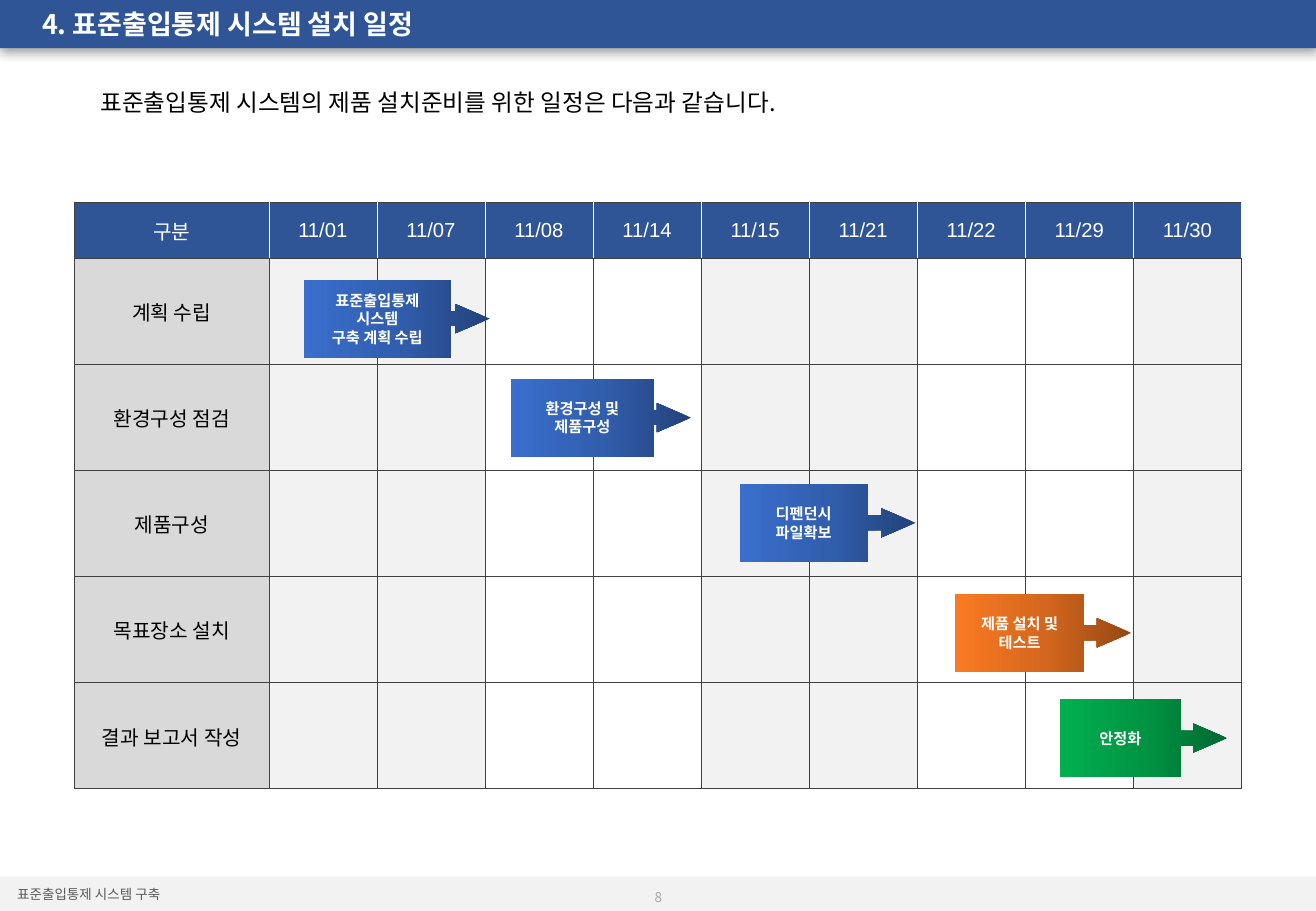
from copy import deepcopy

from lxml import etree
from pptx import Presentation
from pptx.dml.color import RGBColor
from pptx.enum import shapes, text
from pptx.oxml import ns
from pptx.util import Cm, Pt

WHITE = RGBColor(0xFF, 0xFF, 0xFF)
BLACK = RGBColor(0x00, 0x00, 0x00)
NAVY = RGBColor(0x2F, 0x55, 0x97)
LIGHT = RGBColor(0xF2, 0xF2, 0xF2)
LABEL_GRAY = RGBColor(0xD9, 0xD9, 0xD9)
GRID = RGBColor(0x40, 0x40, 0x40)
FOOTER_TEXT = RGBColor(0x59, 0x59, 0x59)
NUMBER_TEXT = RGBColor(0xA6, 0xA6, 0xA6)
BLUES = (RGBColor(0x23, 0x42, 0x7A), RGBColor(0x31, 0x5E, 0xAD), RGBColor(0x3A, 0x6F, 0xCE))
ORANGES = (RGBColor(0x95, 0x48, 0x15), RGBColor(0xD4, 0x67, 0x1D), RGBColor(0xFB, 0x7A, 0x23))
GREENS = (RGBColor(0x00, 0x68, 0x2F), RGBColor(0x00, 0x94, 0x43), RGBColor(0x00, 0xB0, 0x50))

KOREAN = "Noto Sans CJK KR"
LEFT, CENTER = text.PP_ALIGN.LEFT, text.PP_ALIGN.CENTER
WIDTH, HEIGHT = 27.51, 19.05

DATES = ["11/01", "11/07", "11/08", "11/14", "11/15", "11/21", "11/22", "11/29", "11/30"]
STAGES = ["계획 수립", "환경구성 점검", "제품구성", "목표장소 설치", "결과 보고서 작성"]
# Left, top, width, share of the width taken by the box, colours, lines
TASKS = [
    (6.35, 5.85, 3.89, 0.79, BLUES, ["표준출입통제 시스템", "구축 계획 수립"]),
    (10.69, 7.92, 3.76, 0.79, BLUES, ["환경구성 및 제품구성"]),
    (15.46, 10.12, 3.68, 0.728, BLUES, ["디펜던시 파일확보"]),
    (19.97, 12.42, 3.68, 0.731, ORANGES, ["제품 설치 및 테스트"]),
    (22.16, 14.62, 3.5, 0.72, GREENS, ["안정화"]),
]


def style_paragraph(para, size, color, align=LEFT, bold=False, font=KOREAN):
    para.alignment = align
    para.font.size = Pt(size)
    para.font.bold = bold
    para.font.color.rgb = color
    para.font.name = font
    properties = para.font._element
    etree.SubElement(properties, ns.qn("a:ea"), typeface=KOREAN)


def add_text(page, left, top, width, height, words, size, color,
             align=LEFT, bold=False, inset=True, wrap=True):
    box = page.shapes.add_textbox(Cm(left), Cm(top), Cm(width), Cm(height))
    frame = box.text_frame
    frame.word_wrap = wrap
    frame.vertical_anchor = text.MSO_ANCHOR.MIDDLE
    if not inset:
        frame.margin_left = frame.margin_right = frame.margin_top = frame.margin_bottom = 0
    para = frame.paragraphs[0]
    para.text = words
    style_paragraph(para, size, color, align, bold)
    return para


def add_band(page, top, height, color):
    band = page.shapes.add_shape(shapes.MSO_SHAPE.RECTANGLE, 0, Cm(top), Cm(WIDTH), Cm(height))
    band.shadow.inherit = False
    band.fill.solid()
    band.fill.fore_color.rgb = color
    band.line.fill.background()
    return band


def add_shadow(shape):
    effects = shape._element.spPr.find(ns.qn("a:effectLst"))
    shadow = etree.SubElement(effects, ns.qn("a:outerShdw"), blurRad=str(Pt(7)),
                              dist=str(Pt(1)), dir=str(109 * 60000), rotWithShape="0")
    color = etree.SubElement(shadow, ns.qn("a:srgbClr"), val=str(BLACK))
    etree.SubElement(color, ns.qn("a:alpha"), val="40000")


def set_borders(cell, left, right):
    properties = cell._tc.get_or_add_tcPr()
    for side, color in (("L", left), ("R", right), ("T", GRID), ("B", GRID)):
        line = etree.SubElement(properties, ns.qn("a:ln" + side), w=str(Pt(0.25)))
        fill = etree.SubElement(line, ns.qn("a:solidFill"))
        etree.SubElement(fill, ns.qn("a:srgbClr"), val=str(color))


def fill_cell(cell, fill, words="", color=BLACK, left=GRID, right=GRID):
    set_borders(cell, left, right)
    if fill is None:
        cell.fill.background()
    else:
        cell.fill.solid()
        cell.fill.fore_color.rgb = fill
    cell.vertical_anchor = text.MSO_ANCHOR.MIDDLE
    cell.margin_left = cell.margin_right = cell.margin_top = Cm(0.03)
    cell.margin_bottom = 0
    para = cell.text_frame.paragraphs[0]
    para.text = words
    style_paragraph(para, 12, color, CENTER, font="Arial")


def add_schedule(page):
    frame = page.shapes.add_table(len(STAGES) + 1, len(DATES) + 1,
                                  Cm(1.56), Cm(4.22), Cm(24.43), Cm(12.29))
    table = frame.table
    table.first_row = table.horz_banding = False
    for index, column in enumerate(table.columns):
        column.width = Cm(2.26 if index else 4.06)
    for index, row in enumerate(table.rows):
        row.height = Cm(2.22 if index else 1.17)

    # Header row
    for index, words in enumerate(["구분"] + DATES):
        fill_cell(table.cell(0, index), NAVY, words, WHITE,
                  left=WHITE if index else GRID, right=WHITE)

    # Stage rows: pairs of dates alternate between gray and clear
    for row, stage in enumerate(STAGES, 1):
        fill_cell(table.cell(row, 0), LABEL_GRAY, stage)
        for index in range(len(DATES)):
            fill_cell(table.cell(row, index + 1), None if index // 2 % 2 else LIGHT)


def set_gradient(fill, colors):
    fill.gradient()
    fill.gradient_angle = 180
    first = fill.gradient_stops[0]._gs
    first.addnext(deepcopy(first))
    for index, (stop, color) in enumerate(zip(fill.gradient_stops, colors)):
        stop.position = index / 2
        stop.color.rgb = color


def add_task(page, left, top, width, box_share, colors, lines):
    task = page.shapes.add_shape(shapes.MSO_SHAPE.RIGHT_ARROW_CALLOUT,
                                 Cm(left), Cm(top), Cm(width), Cm(1.63))
    task.shadow.inherit = False
    task.line.fill.background()
    set_gradient(task.fill, colors)
    for index, value in enumerate((0.187, 0.187, 0.441, box_share)):
        task.adjustments[index] = value
    frame = task.text_frame
    frame.word_wrap = True
    frame.vertical_anchor = text.MSO_ANCHOR.MIDDLE
    frame.text = "\n".join(lines)
    for para in frame.paragraphs:
        style_paragraph(para, 9, WHITE, CENTER, bold=True)


def main():
    deck = Presentation()
    deck.slide_width, deck.slide_height = Cm(WIDTH), Cm(HEIGHT)
    page = deck.slides.add_slide(deck.slide_layouts[6])

    # Footer and header bands
    add_band(page, 18.34, 0.71, LIGHT)
    add_shadow(add_band(page, 0, 1.01, NAVY))
    add_text(page, 0.36, 18.54, 3.33, 0.33, "표준출입통제 시스템 구축", 8, FOOTER_TEXT,
             inset=False, wrap=False)
    add_text(page, 12.8, 18.46, 1.93, 0.6, "8", 8, NUMBER_TEXT, CENTER)

    # Title and introduction
    title = add_text(page, 0.63, 0.15, 14.22, 0.76, "4. 표준출입통제 시스템 설치 일정",
                     16, WHITE, bold=True)
    title.line_spacing = 0.9
    add_text(page, 1.85, 1.7, 23.6, 0.86,
             "표준출입통제 시스템의 제품 설치준비를 위한 일정은 다음과 같습니다.", 14, BLACK)

    # Schedule grid and task arrows
    add_schedule(page)
    for task in TASKS:
        add_task(page, *task)

    deck.save("out.pptx")


if __name__ == "__main__":
    main()
